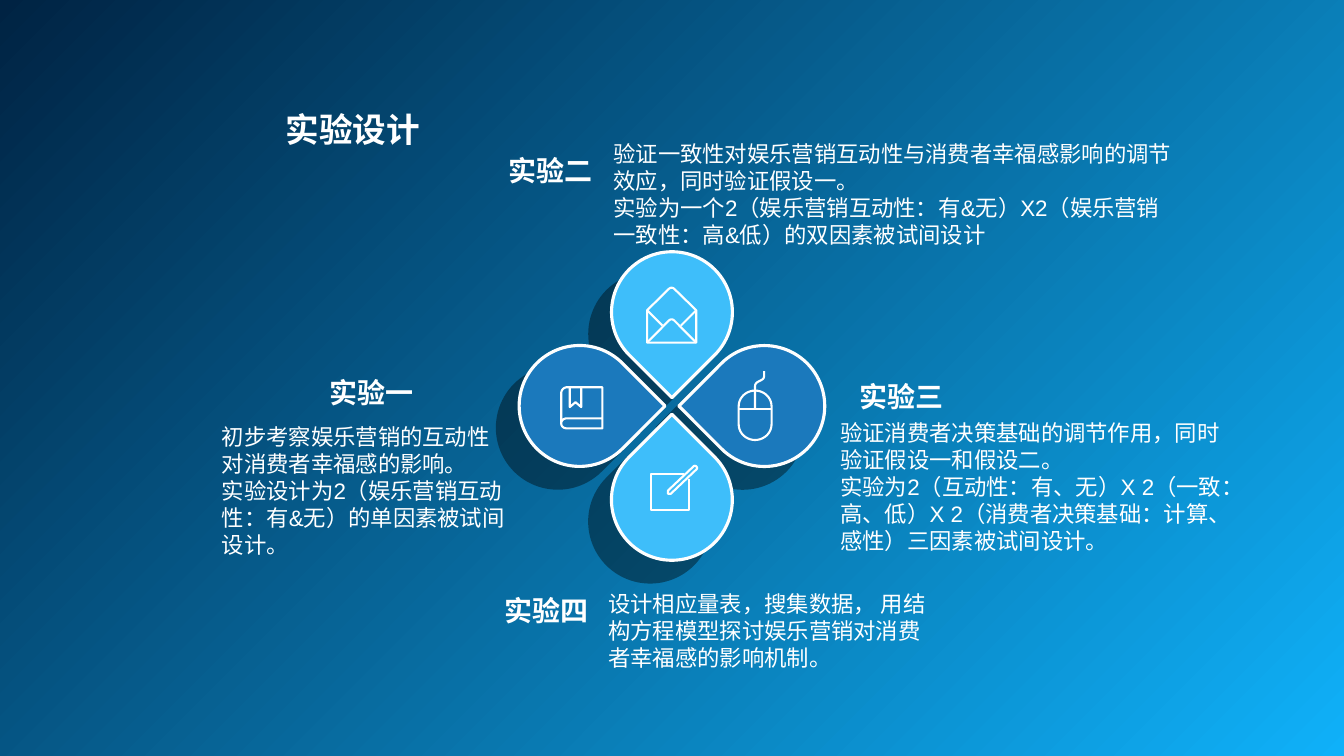
from math import cos, radians, sin

from lxml import etree
from pptx import Presentation
from pptx.dml.color import RGBColor
from pptx.enum.shapes import MSO_SHAPE
from pptx.enum.text import MSO_AUTO_SIZE
from pptx.oxml.ns import qn
from pptx.util import Pt

COLORS = {"night": "002343", "sky": "0FB1F9", "deep": "1B79BC",
          "light": "3EBEFA", "rim": "FEFEFE", "white": "FFFFFF", "shadow": "000000"}
CJK_FONT = "Noto Sans CJK SC"
FORMATS = {
    "title": {"size": Pt(24), "name": CJK_FONT, "bold": True},
    "heading": {"size": Pt(20), "name": CJK_FONT, "bold": True},
    "body": {"size": Pt(16), "name": "Arial"},
}

# Texts: format, left, top, width, height, paragraphs
TEXTS = [
    ("title", 197, 74.2, 112, 36, ["实验设计"]),
    ("heading", 228.5, 264.5, 76, 31.7, ["实验一"]),
    ("heading", 356, 105.8, 76, 31.7, ["实验二"]),
    ("heading", 607, 267.5, 76, 31.7, ["实验三"]),
    ("heading", 353.5, 420.5, 76, 31.7, ["实验四"]),
    ("body", 151.5, 299, 218.9, 103.7, [
        "初步考察娱乐营销的互动性对消费者幸福感的影响。",
        "实验设计为2（娱乐营销互动性：有&无）的单因素被试间设计。"]),
    ("body", 431.3, 96.7, 416.2, 84.2, [
        "验证一致性对娱乐营销互动性与消费者幸福感影响的调节效应，同时验证假设一。",
        "实验为一个2（娱乐营销互动性：有&无）X2（娱乐营销一致性：高&低）的双因素被试间设计"]),
    ("body", 593.5, 296, 299.5, 103.7, [
        "验证消费者决策基础的调节作用，同时验证假设一和假设二。",
        "实验为2（互动性：有、无）X 2（一致：高、低）X 2（消费者决策基础：计算、感性）三因素被试间设计。"]),
    ("body", 427.7, 418, 242.6, 64.8, [
        "设计相应量表，搜集数据， 用结构方程模型探讨娱乐营销对消费者幸福感的影响机制。"]),
]

# Petals: direction from the centre in clockwise degrees, colour
PETALS = [(0, "deep"), (270, "light"), (180, "deep"), (90, "light")]
FLOWER_X, FLOWER_Y, PETAL_SIZE = 480.2, 290, 86.4
REACH_X, REACH_Y = 66, 67

# Icons: lists of (closed, points); a six-number entry is a Bézier curve
ENVELOPE = [
    (True, [(462.5, 244.7), (462.5, 221.6), (478, 206.4),
            (479.3, 205.2, 480.7, 205.2, 482, 206.4), (497.6, 221.6), (497.6, 244.7)]),
    (False, [(462.5, 221.6), (473.5, 232.6)]),
    (False, [(497.6, 221.6), (486.6, 232.6)]),
    (False, [(462.5, 244.7), (478, 229), (479.3, 227.8, 480.7, 227.8, 482, 229),
             (497.6, 244.7)]),
]
BOOK = [
    (False, [(430.5, 298.8), (405.4, 298.8), (402.6, 298.8, 401.1, 300.5, 401.1, 302.5),
             (401.1, 304.5, 402.6, 306, 405.4, 306), (430.5, 306), (430.5, 276.6),
             (405.4, 276.6), (403, 276.6, 401.1, 278.5, 401.1, 280.8), (401.1, 302.5)]),
    (False, [(407.2, 276.6), (407.2, 290.8), (411.3, 287.3), (415.4, 290.8),
             (415.4, 276.6)]),
]
MOUSE = [
    (True, [(527.9, 290.2), (527.9, 284, 533.2, 279, 539.6, 279),
            (546.1, 279, 551.4, 284, 551.4, 290.2), (551.4, 303.1),
            (551.4, 309.3, 546.1, 314.3, 539.6, 314.3),
            (533.2, 314.3, 527.9, 309.3, 527.9, 303.1)]),
    (False, [(527.9, 292.3), (551.4, 292.3)]),
    (False, [(539.6, 292.3), (539.6, 275.8), (539.6, 271.6, 546.1, 272.6, 546.1, 268.6),
             (546.1, 265)]),
]
NOTE = [
    (False, [(492.5, 342), (492.5, 364.3), (465.1, 364.3), (465.1, 338.4), (488.6, 338.4)]),
    (True, [(477.4, 352.8), (477.4, 350.4), (495.8, 333),
            (497, 332, 499, 334, 497.8, 335.2), (479.3, 352.8)]),
]


def color(name):
    return RGBColor.from_string(COLORS[name])


def add_petal(shapes, direction, fill):
    x = FLOWER_X + REACH_X * cos(radians(direction)) - PETAL_SIZE / 2
    y = FLOWER_Y + REACH_Y * sin(radians(direction)) - PETAL_SIZE / 2
    petal = shapes.add_shape(MSO_SHAPE.TEAR, Pt(x), Pt(y), Pt(PETAL_SIZE), Pt(PETAL_SIZE))
    petal.rotation = (direction + 225) % 360  # the tip points to the centre
    petal.fill.solid()
    petal.fill.fore_color.rgb = color(fill)
    petal.line.color.rgb = color("rim")
    petal.line.width = Pt(2.25)
    petal.shadow.inherit = False
    effects = petal._element.spPr.find(qn("a:effectLst"))
    shadow = etree.SubElement(effects, qn("a:outerShdw"), blurRad="0", dist=str(Pt(22)),
                              dir="8100000", algn="tr", rotWithShape="0")
    tint = etree.SubElement(shadow, qn("a:srgbClr"), val=COLORS["shadow"])
    etree.SubElement(tint, qn("a:alpha"), val="40000")


def flatten(points, steps=10):
    flat = []
    for point in points:
        if len(point) == 2:
            flat.append(point)
            continue
        corners = [flat[-1], point[:2], point[2:4], point[4:]]
        for t in (i / steps for i in range(1, steps + 1)):
            weights = ((1 - t) ** 3, 3 * t * (1 - t) ** 2, 3 * t * t * (1 - t), t ** 3)
            flat.append(tuple(sum(w * c[axis] for w, c in zip(weights, corners))
                              for axis in (0, 1)))
    return [(Pt(x), Pt(y)) for x, y in flat]


def add_icon(shapes, strokes):
    outline = None
    for closed, points in strokes:
        start, *rest = flatten(points)
        if outline is None:
            outline = shapes.build_freeform(*start)
        else:
            outline.move_to(*start)
        outline.add_line_segments(rest, close=closed)
    icon = outline.convert_to_shape()
    icon.fill.background()
    icon.line.color.rgb = color("white")
    icon.line.width = Pt(1.5)
    icon.shadow.inherit = False


def add_text(shapes, kind, left, top, width, height, paragraphs):
    frame = shapes.add_textbox(Pt(left), Pt(top), Pt(width), Pt(height)).text_frame
    frame.word_wrap = kind == "body"
    frame.auto_size = MSO_AUTO_SIZE.SHAPE_TO_FIT_TEXT
    frame.text = "\n".join(paragraphs)
    for paragraph in frame.paragraphs:
        for run in paragraph.runs:
            for attribute, value in FORMATS[kind].items():
                setattr(run.font, attribute, value)
            run.font.color.rgb = color("white")
            etree.SubElement(run._r.get_or_add_rPr(), qn("a:ea"), typeface=CJK_FONT)


def main():
    deck = Presentation()
    deck.slide_width, deck.slide_height = Pt(960.5), Pt(540)
    slide = deck.slides.add_slide(deck.slide_layouts[6])

    # Background
    backdrop = slide.background.fill
    backdrop.gradient()
    backdrop.gradient_angle = 315
    for stop, name, position in zip(backdrop.gradient_stops, ("night", "sky"), (0, 1)):
        stop.color.rgb = color(name)
        stop.position = position

    # Flower with icons
    for petal in PETALS:
        add_petal(slide.shapes, *petal)
    for icon in (ENVELOPE, BOOK, MOUSE, NOTE):
        add_icon(slide.shapes, icon)

    # Title, headings and descriptions
    for text in TEXTS:
        add_text(slide.shapes, *text)

    deck.save("out.pptx")


if __name__ == "__main__":
    main()
